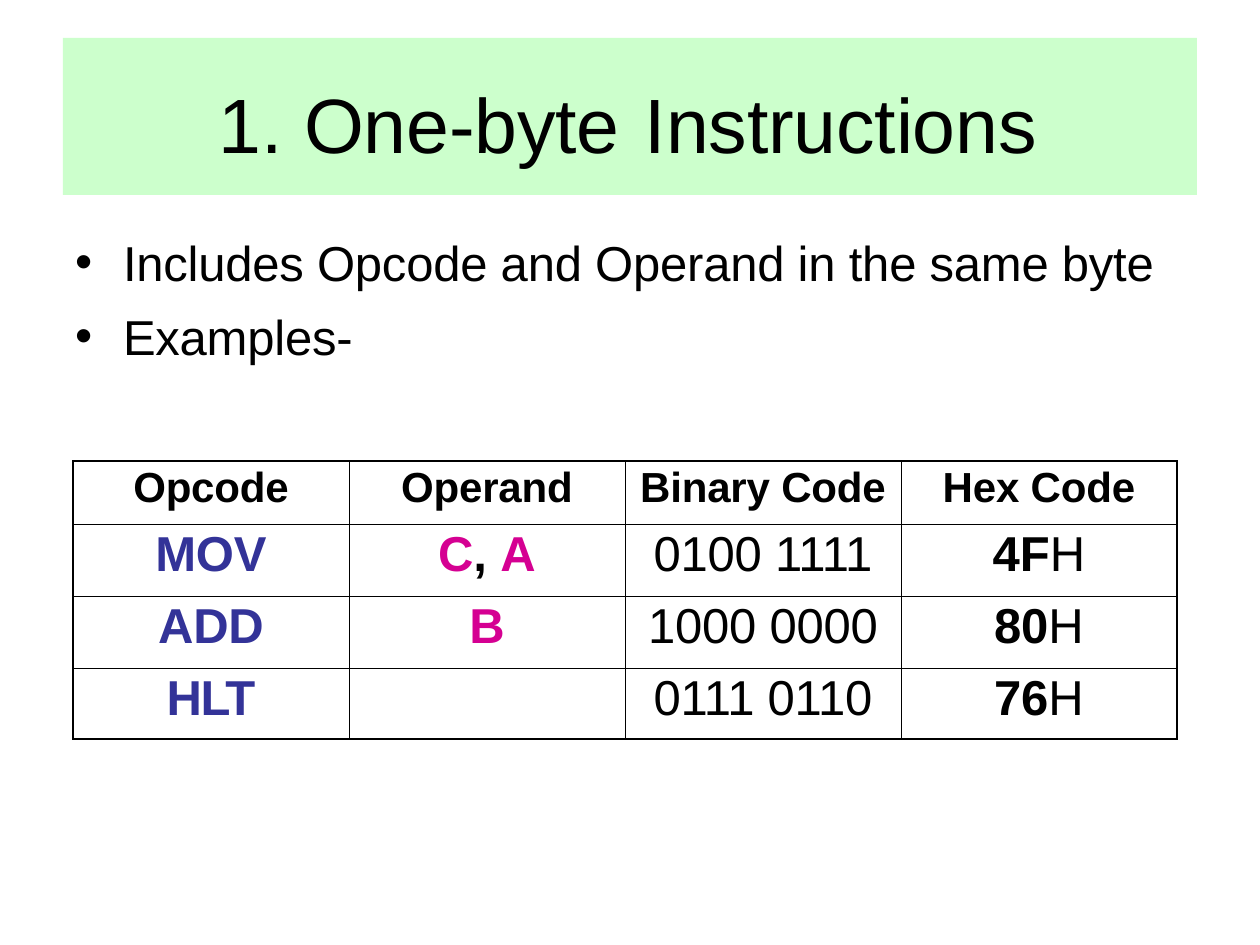
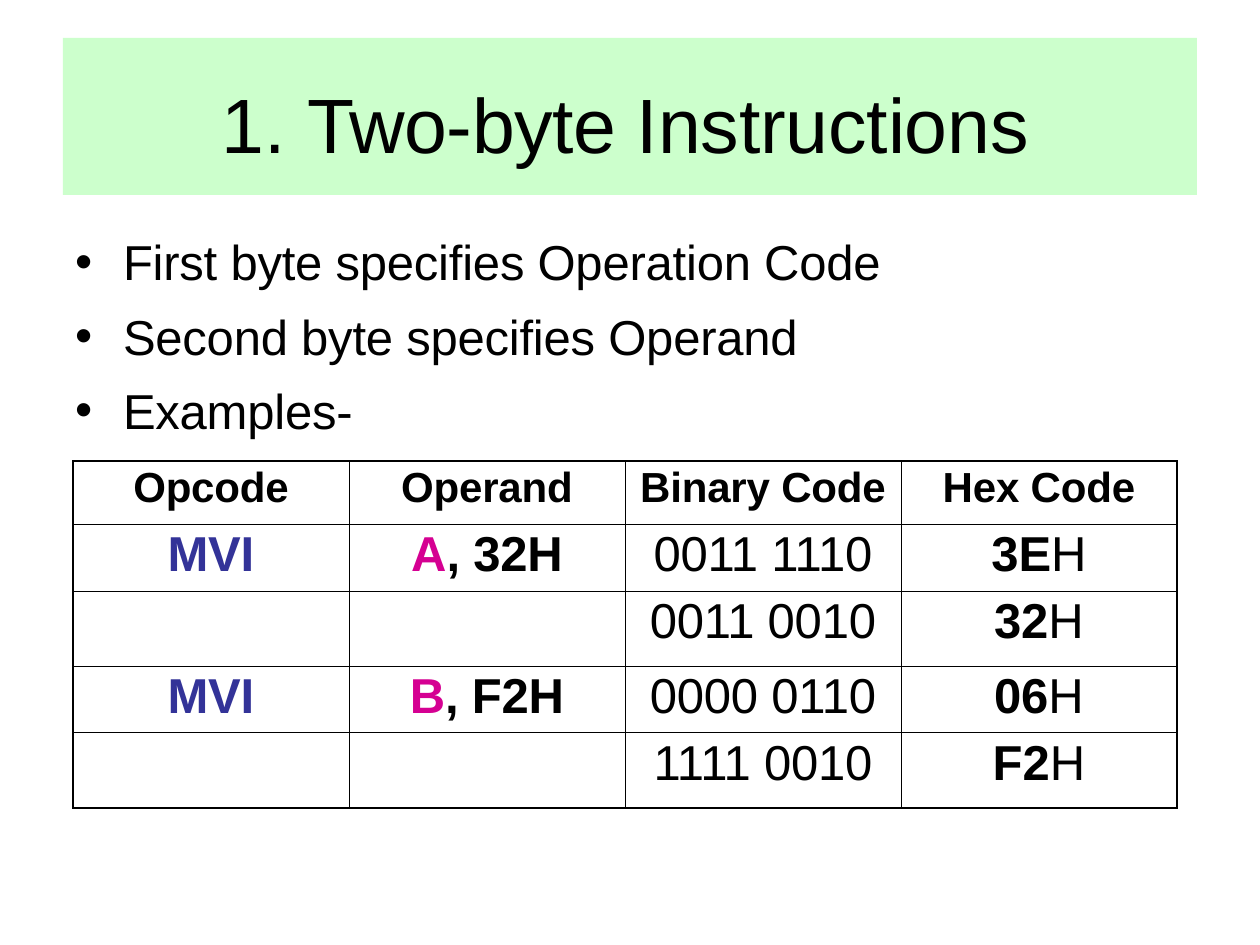
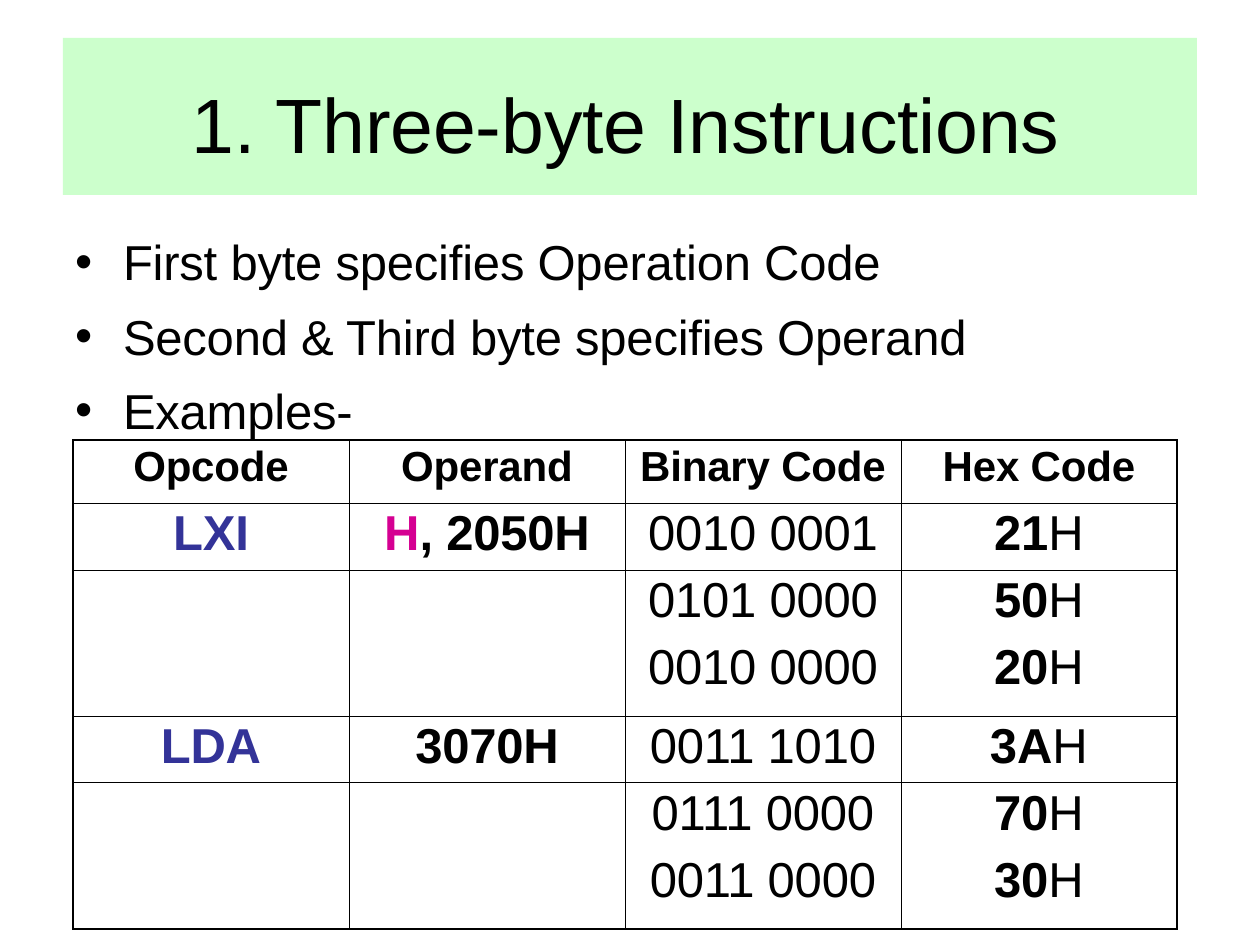
from dataclasses import dataclass

from lxml import etree
from pptx import Presentation
from pptx import util as u
from pptx.dml.color import RGBColor
from pptx.enum import shapes, text
from pptx.oxml import ns

# Shared look
DPI = 126
BLACK, GREEN, BLUE, PINK = "000000", "CCFFCC", "333398", "D50092"
FONT = "Arial"
TITLE = {"size": u.Pt(44), "bold": False}
BODY = {"size": u.Pt(28), "bold": False}
HEAD = {"size": u.Pt(24), "bold": True}
STRONG = {"size": u.Pt(28), "bold": True}
HEADS = ("Opcode", "Operand", "Binary Code", "Hex Code")
HEAD_H, COL_W = 63, 276
THIN, THICK = 0.5, 1


@dataclass(frozen=True)
class Run:
    words: str
    fmt: dict
    color: str = BLACK
    gap: float = -0.1


@dataclass(frozen=True)
class Row:
    high: int
    opcode: str
    operand: str
    binary: str
    code: str
    split: bool = True  # a line divides this row from the next


@dataclass(frozen=True)
class Page:
    title: tuple[Run, ...]
    left: int
    points: tuple[str, ...]
    top: int
    rows: tuple[Row, ...]
    tab: int = 0


PAGES = (
    Page((Run("1. One-byte\tInstructions", TITLE),), 219,
         ("Includes Opcode and Operand in the same byte", "Examples-"), 461,
         (Row(72, "MOV", "C, A", "0100 1111", "4FH"),
          Row(72, "ADD", "B", "1000 0000", "80H"),
          Row(71, "HLT", "", "0111 0110", "76H")), tab=426),
    Page((Run("1. ", TITLE), Run("Two-byte ", TITLE, gap=-0.3),
          Run("Instructions", TITLE)), 222,
         ("First byte specifies Operation Code",
          "Second byte specifies Operand", "Examples-"), 461,
         (Row(67, "MVI", "A, 32H", "0011 1110", "3EH"),
          Row(75, "", "", "0011 0010", "32H"),
          Row(67, "MVI", "B, F2H", "0000 0110", "06H"),
          Row(75, "", "", "1111 0010", "F2H"))),
    Page((Run("1. Three-byte Instructions", TITLE),), 192,
         ("First byte specifies Operation Code",
          "Second & Third byte specifies Operand", "Examples-"), 440,
         (Row(67, "LXI", "H, 2050H", "0010 0001", "21H"),
          Row(67, "", "", "0101 0000", "50H", split=False),
          Row(79, "", "", "0010 0000", "20H"),
          Row(67, "LDA", "3070H", "0011 1010", "3AH"),
          Row(67, "", "", "0111 0000", "70H", split=False),
          Row(79, "", "", "0011 0000", "30H"))),
)


def px(n: int) -> u.Emu:
    return u.Emu(round(n * 914400 / DPI))


def paint(code: str) -> RGBColor:
    return RGBColor.from_string(code)


def node(parent, tag: str, **attrs):
    child = etree.SubElement(parent, ns.qn(tag))
    for name, value in attrs.items():
        child.set(name, str(value))
    return child


# Text
def write(para, runs) -> None:
    for item in runs:
        run = para.add_run()
        run.text = item.words
        for name, value in {"name": FONT, **item.fmt}.items():
            setattr(run.font, name, value)
        run.font.color.rgb = paint(item.color)
        run._r.get_or_add_rPr().set("spc", str(round(item.gap * 100)))


def add_box(slide, left: int, top: int, wide: int, high: int, inset: int):
    frame = slide.shapes.add_textbox(*map(px, (left, top, wide, high))).text_frame
    frame.word_wrap = True
    frame.margin_left = frame.margin_right = frame.margin_bottom = 0
    frame.margin_top = px(inset)
    return frame


def add_title(slide, page: Page) -> None:
    band = slide.shapes.add_shape(shapes.MSO_SHAPE.RECTANGLE,
                                  *map(px, (63, 38, 1134, 157)))
    band.shadow.inherit = False
    band.fill.solid()
    band.fill.fore_color.rgb = paint(GREEN)
    band.line.fill.background()
    para = add_box(slide, page.left, 68, 1270 - 2 * page.left, 96, 9).paragraphs[0]
    if page.tab:
        tabs = node(para._p.get_or_add_pPr(), "a:tabLst")
        node(tabs, "a:tab", pos=px(page.tab), algn="l")
    write(para, page.title)


def add_points(slide, points: tuple[str, ...]) -> None:
    frame = add_box(slide, 74, 213, 1100, 75 + 71 * (len(points) - 1), 19)
    for i, point in enumerate(points):
        para = frame.add_paragraph() if i else frame.paragraphs[0]
        props = para._p.get_or_add_pPr()
        props.set("marL", str(px(49)))
        props.set("indent", str(-px(48)))
        node(props, "a:buFont", typeface=FONT)
        node(props, "a:buChar", char="•")
        if i:
            para.space_before = u.Pt(8.7)
        write(para, [Run(point, BODY)])


# Table
def args(operand: str) -> list[Run]:
    """Registers are single letters and stand out in pink."""
    runs = []
    for i, part in enumerate(operand.split(", ") if operand else ()):
        if i:
            runs.append(Run(", ", STRONG))
        runs.append(Run(part, STRONG, PINK if len(part) == 1 else BLACK))
    return runs


def fields(row: Row) -> list[list[Run]]:
    opcode = [Run(row.opcode, STRONG, BLUE, -0.8 if row.opcode == "HLT" else -0.1)]
    return [opcode if row.opcode else [], args(row.operand),
            [Run(row.binary, BODY)],
            [Run(row.code[:-1], STRONG, gap=0), Run(row.code[-1], BODY, gap=0)]]


def edge(cell, widths: dict[str, float]) -> None:
    props = cell._tc.get_or_add_tcPr()
    for i, (side, width) in enumerate(widths.items()):
        line = node(props, f"a:ln{side}", w=u.Pt(width))
        if width:
            node(node(line, "a:solidFill"), "a:srgbClr", val=BLACK)
        else:
            node(line, "a:noFill")
        props.insert(i, line)


def add_codes(slide, page: Page) -> None:
    highs = [HEAD_H] + [row.high for row in page.rows]
    lines = [[[Run(name, HEAD)] for name in HEADS]] + [fields(r) for r in page.rows]
    # Widths of the rules above, between and below the rows
    rules = [THICK, THIN] + [THIN if r.split else 0 for r in page.rows[:-1]] + [THICK]
    cols = len(HEADS)
    table = slide.shapes.add_table(
        len(lines), cols,
        *map(px, (73, page.top, cols * COL_W, sum(highs)))).table
    table.first_row = table.horz_banding = False
    for col in table.columns:
        col.width = px(COL_W)
    for r, line in enumerate(lines):
        table.rows[r].height = px(highs[r])
        for c, runs in enumerate(line):
            cell = table.cell(r, c)
            cell.margin_left = cell.margin_right = cell.margin_bottom = 0
            cell.margin_top = px(3 if r else 4)
            cell.fill.background()
            edge(cell, {"L": THIN if c else THICK,
                        "R": THIN if c < cols - 1 else THICK,
                        "T": rules[r], "B": rules[r + 1]})
            para = cell.text_frame.paragraphs[0]
            para.alignment = text.PP_ALIGN.CENTER
            write(para, runs)


def main() -> None:
    deck = Presentation()
    deck.slide_width, deck.slide_height = px(1260), px(945)
    for page in PAGES:
        slide = deck.slides.add_slide(deck.slide_layouts[6])
        add_title(slide, page)
        add_points(slide, page.points)
        add_codes(slide, page)
    deck.save("out.pptx")


if __name__ == "__main__":
    main()
